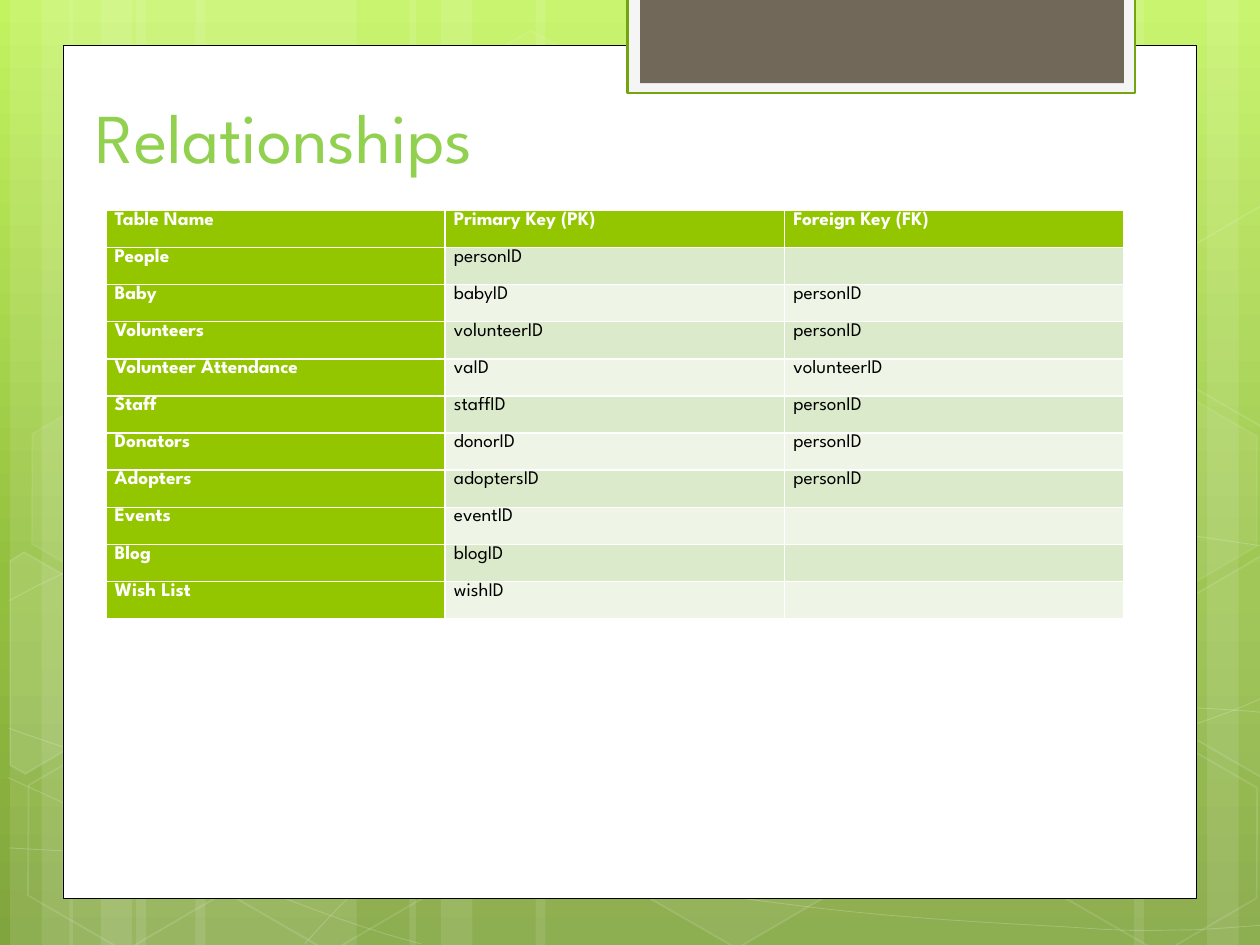
import copy
import math

import lxml.etree
import pptx
import pptx.dml.color
import pptx.enum.shapes
import pptx.enum.text
import pptx.oxml.ns
import pptx.util

Inches = pptx.util.Inches
Pt = pptx.util.Pt
RGBColor = pptx.dml.color.RGBColor
SHAPE = pptx.enum.shapes.MSO_SHAPE
qn = pptx.oxml.ns.qn

WHITE = RGBColor(0xFF, 0xFF, 0xFF)
BLACK = RGBColor(0, 0, 0)
LIME = RGBColor(0x94, 0xC6, 0x00)
TITLE_GREEN = RGBColor(0x92, 0xD0, 0x50)
TAB_EDGE = RGBColor(0x74, 0xA5, 0x10)
TAB_PALE = RGBColor(0xF5, 0xF5, 0xF5)
TAB_BROWN = RGBColor(0x71, 0x68, 0x5A)
BANDS = RGBColor(0xEE, 0xF5, 0xE7), RGBColor(0xDC, 0xEA, 0xCC)
BACKDROP = (
    (0, RGBColor(0xC3, 0xF3, 0x5F)),
    (0.62, RGBColor(0x93, 0xBF, 0x3F)),
    (1, RGBColor(0x81, 0xA5, 0x3E)),
)
FONT = "League Spartan"
TILT = 30

# Start point, then segments: three points for a curve, one for a straight line.
CURVES = (
    ((0.07, 6.73), ((0.61, 6.76), (1.15, 6.79), (1.9, 6.78)),
     ((2.65, 6.77), (3.58, 6.75), (4.58, 6.65)), ((5.58, 6.55), (7, 6.36), (7.92, 6.17)),
     ((8.83, 5.98), (9.77, 5.68), (10.07, 5.51))),
    ((0.07, 4.77), ((0.36, 4.61), (0.65, 4.46), (1.21, 4.31)),
     ((1.78, 4.16), (2.59, 3.94), (3.47, 3.87)), ((4.36, 3.8), (5.44, 3.79), (6.54, 3.87)),
     ((7.64, 3.95), (9.47, 4.26), (10.07, 4.34))),
    ((0.06, 6.17), ((1.27, 6.72), (2.47, 7.27), (3.34, 7.49))),
    ((0.07, 5.78), ((0.38, 5.89), (0.7, 6), (1.28, 6.16)),
     ((1.86, 6.31), (2.73, 6.56), (3.57, 6.73)), ((4.4, 6.9), (5.45, 7.08), (6.28, 7.18)),
     ((7.11, 7.29), (8, 7.33), (8.53, 7.36)), ((9.05, 7.4), (9.19, 7.38), (9.45, 7.38)),
     ((9.71, 7.37), (9.89, 7.35), (10.07, 7.34))),
    ((2.42, 7.49), ((2.6, 7.29), (2.78, 7.09), (3.02, 6.91)),
     ((3.26, 6.73), (3.6, 6.53), (3.88, 6.39)), ((4.16, 6.25), (4.33, 6.19), (4.7, 6.09)),
     ((5.06, 5.99), (5.73, 5.85), (6.08, 5.78)), ((6.44, 5.71), (6.49, 5.71), (6.8, 5.69)),
     ((7.11, 5.66), (7.6, 5.63), (7.94, 5.62)), ((8.29, 5.61), (8.86, 5.62), (8.86, 5.62)),
     ((9.53, 5.62),), ((9.71, 5.63), (9.88, 5.64), (9.97, 5.65)),
     ((10.06, 5.66), (10.03, 5.65), (10.06, 5.66))),
)
# Left, top, fill opacity and line opacity in percent.
HEXAGONS = (
    (3.34, 0.36, 4, 8), (4.97, 5.89, 6, 12), (0.11, 5.91, 0, 12),
    (0.14, 3.12, 7, 8), (1.74, 5.92, 0, 12), (7.53, 4.53, 10, 12),
    (8.34, 5.93, 0, 12), (8.34, 3.14, 7, 8),
)
# Hexagons cut by the slide edge: centre, tilted outline and fill opacity.
CUT_HEXAGONS = (
    ((0.36, 5.35), ((0.08, 4.45), (0.19, 4.38), (0.96, 4.82), (0.95, 5.7), (0.2, 6.14),
                    (0.08, 6.07)), 10),
    ((9.85, 5.2), ((9.26, 4.85), (10.01, 4.41), (10.09, 4.46), (10.09, 6.13), (10.02, 6.17),
                   (9.26, 5.73)), 4),
    ((9.85, 2.41), ((9.26, 2.07), (10.01, 1.63), (10.1, 1.68), (10.09, 3.35), (10.02, 3.39),
                    (9.26, 2.95)), 0),
)
ROWS = (
    ("Table Name", "Primary Key (PK)", "Foreign Key (FK)"),
    ("People", "personID", ""),
    ("Baby", "babyID", "personID"),
    ("Volunteers", "volunteerID", "personID"),
    ("Volunteer Attendance", "vaID", "volunteerID"),
    ("Staff", "staffID", "personID"),
    ("Donators", "donorID", "personID"),
    ("Adopters", "adoptersID", "personID"),
    ("Events", "eventID", ""),
    ("Blog", "blogID", ""),
    ("Wish List", "wishID", ""),
)


def paint(shape, fill=None, fill_opacity=100, line=None, width=1, line_opacity=100):
    """Set fill and line; opacities are percentages and None or 0 leaves a part out."""
    shape.shadow.inherit = False
    parts = ((shape.fill, fill, fill_opacity), (shape.line.fill, line, line_opacity))
    for part, color, opacity in parts:
        if color is None or opacity == 0:
            part.background()
            continue
        part.solid()
        part.fore_color.rgb = color
        if opacity < 100:
            solid = part._xPr.find(qn("a:solidFill"))
            lxml.etree.SubElement(solid[0], qn("a:alpha"), val=str(opacity * 1000))
    if line is not None:
        shape.line.width = Pt(width)


def add_box(slide, kind, left, top, width, height):
    return slide.shapes.add_shape(kind, Inches(left), Inches(top), Inches(width), Inches(height))


def add_outline(slide, points, close):
    start, *rest = [(Inches(x), Inches(y)) for x, y in points]
    builder = slide.shapes.build_freeform(*start)
    builder.add_line_segments(rest, close=close)
    return builder.convert_to_shape()


def add_curve(slide, start, *segments):
    """Draw through every point, then join each group of three into a Bezier segment."""
    curve = add_outline(slide, [start, *sum(segments, ())], close=False)
    steps = iter(list(curve._element.iter(qn("a:lnTo"))))
    for segment in segments:
        first, *others = [next(steps) for _ in segment]
        if others:
            first.tag = qn("a:cubicBezTo")
        for other in others:
            first.append(other[0])
            other.getparent().remove(other)
    return curve


def turn(point, centre, degrees):
    cos, sin = math.cos(math.radians(degrees)), math.sin(math.radians(degrees))
    x, y = point[0] - centre[0], point[1] - centre[1]
    return centre[0] + x * cos - y * sin, centre[1] + x * sin + y * cos


def set_gradient(slide):
    fill = slide.background.fill
    fill.gradient()
    fill.gradient_angle = 270
    stop_list = next(slide._element.iter(qn("a:gsLst")))
    stop_list.append(copy.deepcopy(stop_list[-1]))
    for stop, (position, color) in zip(fill.gradient_stops, BACKDROP):
        stop.position = position
        stop.color.rgb = color


def add_stripes(slide, edge, height, wide=1.75, mirrored=False):
    """Three overlapping bands that run rightwards from edge, or leftwards if mirrored."""
    for offset, width in ((1, wide), (0, 0.5), (0.25, 0.83)):
        left = edge - offset - width if mirrored else edge + offset
        stripe = add_box(slide, SHAPE.RECTANGLE, left, 0, width, height)
        stripe.rotation = 180 if mirrored else 0
        paint(stripe, WHITE, 10)


def add_backdrop(slide, height):
    set_gradient(slide)
    add_stripes(slide, 0.08, height)
    add_stripes(slide, 0.55, height)
    add_stripes(slide, 10.08, height, mirrored=True)
    add_stripes(slide, 3.25, height, wide=3.08)
    for knots in CURVES:
        paint(add_curve(slide, *knots), line=WHITE, width=0.5, line_opacity=20)
    for left, top, fill_opacity, line_opacity in HEXAGONS:
        hexagon = add_box(slide, SHAPE.HEXAGON, left, top, 1.75, 1.52)
        hexagon.adjustments[0] = 0.285
        hexagon.rotation = TILT
        paint(hexagon, WHITE, fill_opacity, WHITE, 1, line_opacity)
    for centre, points, fill_opacity in CUT_HEXAGONS:
        upright = [turn(point, centre, -TILT) for point in points]
        hexagon = add_outline(slide, upright, close=True)
        hexagon.rotation = TILT
        paint(hexagon, WHITE, fill_opacity, WHITE, 1, 12)


def add_panel(slide, left, top, width, height):
    """White page with a tab hanging from the top of the slide."""
    paint(add_box(slide, SHAPE.RECTANGLE, left, top, width, height), WHITE, line=BLACK, width=0.5)
    tab_left = left + width - 4.52
    tab = add_box(slide, SHAPE.RECTANGLE, tab_left, -0.02, 4.03, 0.76)
    paint(tab, TAB_PALE, line=TAB_EDGE, width=1.25)
    paint(add_box(slide, SHAPE.RECTANGLE, tab_left + 0.1, -0.02, 3.84, 0.68), TAB_BROWN)


def style_text(paragraph, size, color, bold=False):
    for run in paragraph.runs:
        run.font.name, run.font.size, run.font.bold = FONT, Pt(size), bold
        run.font.color.rgb = color


def place_title(slide, left, top, width, height):
    title = slide.shapes.title
    slide.shapes._spTree.append(title._element)
    title.left, title.top = Inches(left), Inches(top)
    title.width, title.height = Inches(width), Inches(height)
    frame = title.text_frame
    frame.text = "Relationships"
    frame.vertical_anchor = pptx.enum.text.MSO_ANCHOR.BOTTOM
    frame.paragraphs[0].alignment = pptx.enum.text.PP_ALIGN.LEFT
    style_text(frame.paragraphs[0], 40, TITLE_GREEN)


def add_key_table(slide, left, top, width, height):
    table = slide.shapes.add_table(len(ROWS), len(ROWS[0]), Inches(left), Inches(top),
                                   Inches(width), Inches(height)).table
    table.first_col = True
    for r, texts in enumerate(ROWS):
        for c, text in enumerate(texts):
            cell = table.cell(r, c)
            heading = r == 0 or c == 0
            cell.margin_left = cell.margin_right = Inches(0.07)
            cell.margin_top = cell.margin_bottom = 0
            cell.fill.solid()
            cell.fill.fore_color.rgb = LIME if heading else BANDS[r % 2]
            cell.text_frame.text = text
            paragraph = cell.text_frame.paragraphs[0]
            paragraph.line_spacing = 1.07
            style_text(paragraph, 11, WHITE if heading else BLACK, heading)
            if not text:
                lxml.etree.SubElement(paragraph._p, qn("a:endParaRPr"), sz="1100")


def main():
    deck = pptx.Presentation()
    deck.slide_width, deck.slide_height = Inches(10), Inches(7.5)
    slide = deck.slides.add_slide(deck.slide_layouts[5])
    add_backdrop(slide, 7.5)
    add_panel(slide, 0.5, 0.36, 9, 6.77)
    place_title(slide, 0.66, 0.67, 7.68, 0.79)
    add_key_table(slide, 0.84, 1.67, 8.08, 3.24)
    deck.save("out.pptx")


if __name__ == "__main__":
    main()
